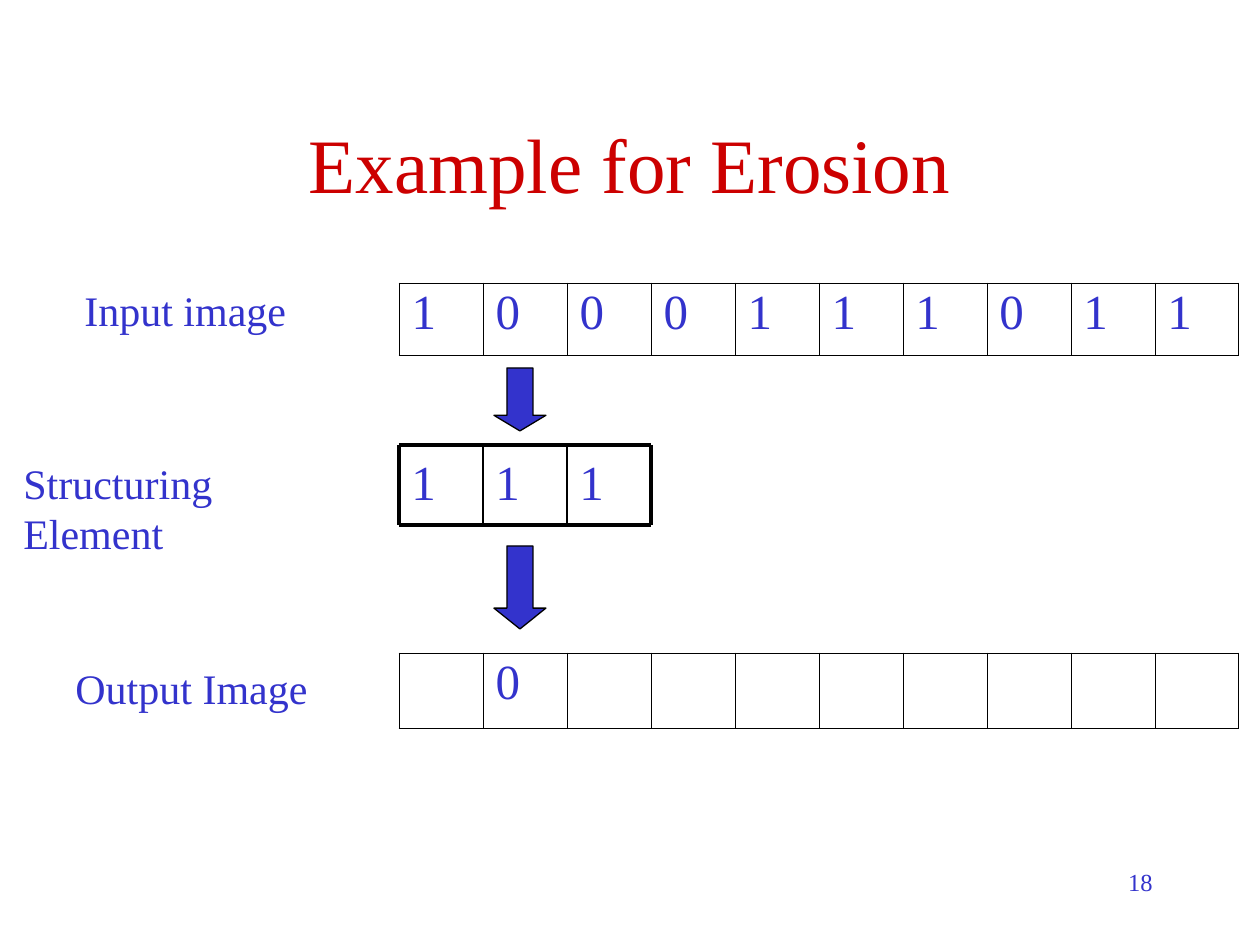
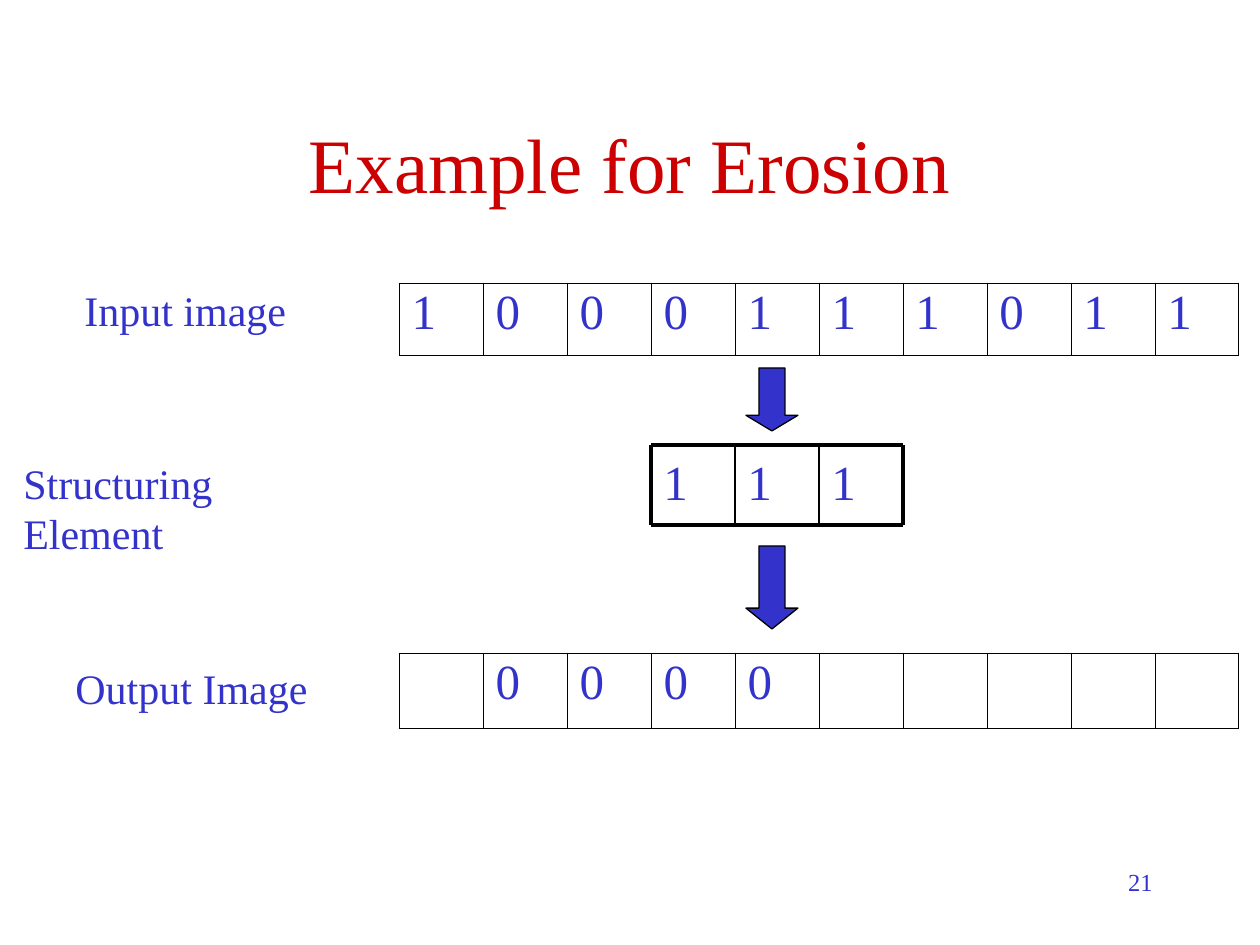
from lxml import etree
from pptx import Presentation
from pptx.dml.color import RGBColor
from pptx.enum.shapes import MSO_CONNECTOR, MSO_SHAPE
from pptx.enum.text import MSO_ANCHOR, PP_ALIGN
from pptx.oxml import parse_xml
from pptx.oxml.ns import nsdecls, qn
from pptx.util import Pt

PX = 914400 // 126
FONT = "Times New Roman"
RED, BLUE, BLACK = "CC0000", "3333CC", "000000"
LEFT, CENTER, RIGHT = PP_ALIGN.LEFT, PP_ALIGN.CENTER, PP_ALIGN.RIGHT
TOP, MIDDLE = MSO_ANCHOR.TOP, MSO_ANCHOR.MIDDLE
STRAIGHT, ARROW = MSO_CONNECTOR.STRAIGHT, MSO_SHAPE.DOWN_ARROW

CELL = 84
GRID = 399
INPUT = "1000111011"
MASK = "111"
LABELS = [("Input image", 72, 278, 227),
          ("Structuring Element", 11, 451, 364),
          ("Output Image", 63, 656, 257)]
ARROWS = [(368, 63, 0.3), (546, 83, 0.4)]
STEPS = [(0, " 0", "18"), (3, " 0000", "21")]


def px(*nums):
    return [num * PX for num in nums]


def color(code):
    return RGBColor.from_string(code)


def add_run(para, text, size, code):
    run = para.add_run()
    run.text = text
    run.font.name = FONT
    run.font.size = Pt(size)
    run.font.color.rgb = color(code)


def add_text(slide, text, box, size, code=BLUE, align=LEFT, anchor=TOP, wrap=True):
    frame = slide.shapes.add_textbox(*px(*box)).text_frame
    frame.word_wrap = wrap
    frame.vertical_anchor = anchor
    para = frame.paragraphs[0]
    para.alignment = align
    add_run(para, text, size, code)


def add_edge(cell, side, width):
    props = cell._tc.get_or_add_tcPr()
    props.append(parse_xml(
        f'<a:{side} {nsdecls("a")} w="{Pt(width)}"><a:solidFill>'
        f'<a:srgbClr val="{BLACK}"/></a:solidFill></a:{side}>'))


def add_row(slide, bits, top, height):
    count = len(bits)
    frame = slide.shapes.add_table(1, count, *px(GRID, top, CELL * count, height))
    table = frame.table
    table.first_row = table.horz_banding = False
    for col, bit in enumerate(bits):
        cell = table.cell(0, col)
        add_edge(cell, "lnL", 0.5 if col == 0 else 0.23)
        add_edge(cell, "lnR", 0.5 if col == count - 1 else 0.23)
        add_edge(cell, "lnT", 0.5)
        add_edge(cell, "lnB", 0.5)
        cell.fill.background()
        if bit != " ":
            para = cell.text_frame.paragraphs[0]
            para.line_spacing = 0.93
            add_run(para, bit, 28, BLUE)


def add_line(slide, ends, width):
    line = slide.shapes.add_connector(STRAIGHT, *px(*ends))
    line.line.color.rgb = color(BLACK)
    line.line.width = Pt(width)
    etree.SubElement(line._element.spPr, qn("a:effectLst"))


def add_mask(slide, left):
    top, low = 445, 525
    right = left + CELL * len(MASK)
    for num, bit in enumerate(MASK):
        add_text(slide, bit, (left + CELL * num, top, CELL, low - top), 28)
    for y in (top, low):
        add_line(slide, (left, y, right, y), 2.25)
    for x in range(left, right + 1, CELL):
        add_line(slide, (x, top, x, low), 2.25 if x in (left, right) else 1)


def add_arrow(slide, left, top, height, head):
    arrow = slide.shapes.add_shape(ARROW, *px(left, top, 52, height))
    arrow.adjustments[0] = 0.5
    arrow.adjustments[1] = head
    arrow.shadow.inherit = False
    arrow.fill.solid()
    arrow.fill.fore_color.rgb = color(BLUE)
    arrow.line.color.rgb = color(BLACK)
    arrow.line.width = Pt(0.75)


def add_step(deck, shift, output, page):
    slide = deck.slides.add_slide(deck.slide_layouts[6])
    add_text(slide, "Example for Erosion", (95, 84, 1070, 158), 44, RED, CENTER, MIDDLE)
    add_text(slide, page, (903, 861, 262, 63), 14, align=RIGHT)
    for text, left, top, width in LABELS:
        add_text(slide, text, (left, top, width, 63), 24, wrap=False)
    add_row(slide, INPUT, 283, 72)
    add_row(slide, output.ljust(len(INPUT)), 653, 75)
    left = GRID + CELL * shift
    add_mask(slide, left)
    for top, height, head in ARROWS:
        add_arrow(slide, left + 95, top, height, head)


def main():
    deck = Presentation()
    deck.slide_width, deck.slide_height = px(1260, 945)
    for step in STEPS:
        add_step(deck, *step)
    deck.save("out.pptx")


if __name__ == "__main__":
    main()
